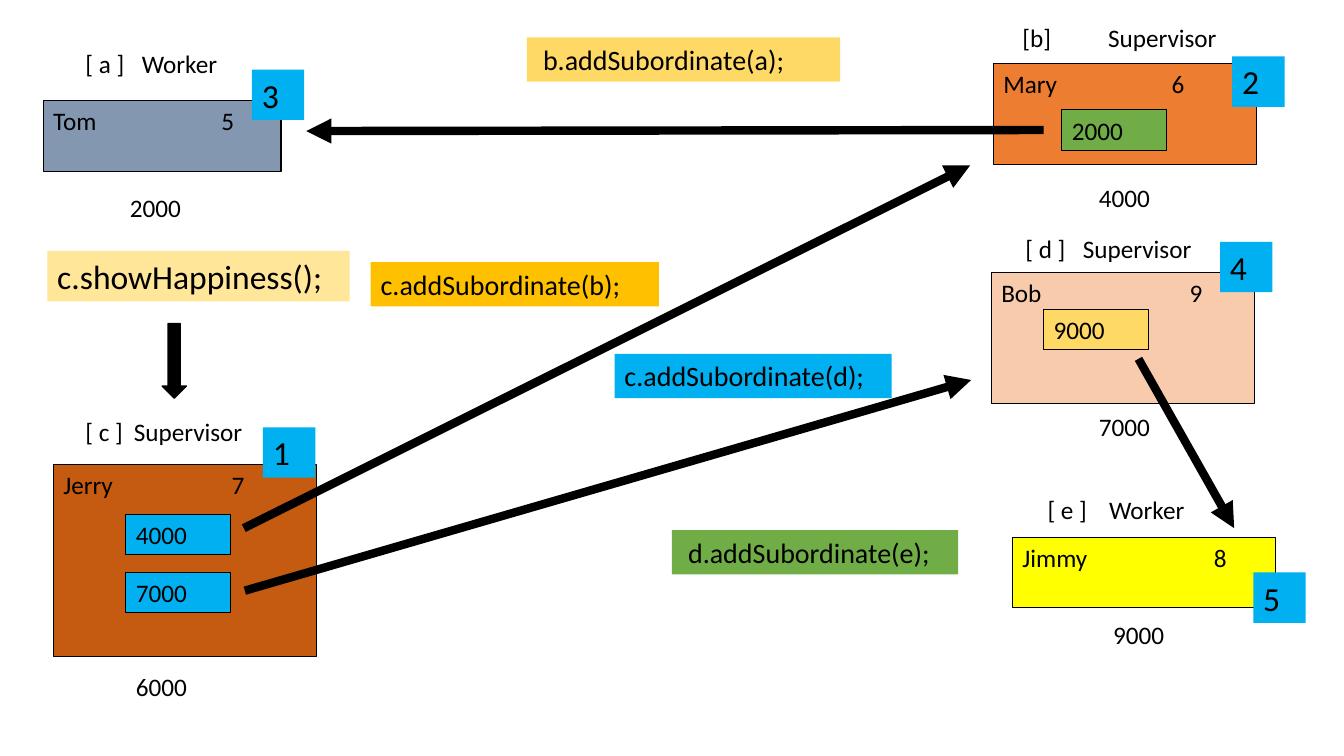
from dataclasses import dataclass

from lxml.etree import SubElement
from pptx import Presentation
from pptx.dml.color import RGBColor
from pptx.enum.shapes import MSO_CONNECTOR, MSO_SHAPE
from pptx.enum.text import MSO_ANCHOR, PP_ALIGN
from pptx.oxml.ns import qn
from pptx.util import Inches, Pt

BLACK = RGBColor(0x00, 0x00, 0x00)
SLATE = RGBColor(0x84, 0x97, 0xB0)
ORANGE = RGBColor(0xED, 0x7D, 0x31)
RUST = RGBColor(0xC5, 0x5A, 0x11)
PEACH = RGBColor(0xF8, 0xCB, 0xAD)
YELLOW = RGBColor(0xFF, 0xFF, 0x00)
GOLD = RGBColor(0xFF, 0xD9, 0x66)
CREAM = RGBColor(0xFF, 0xE6, 0x99)
AMBER = RGBColor(0xFF, 0xC0, 0x00)
BLUE = RGBColor(0x00, 0xB0, 0xF0)
GREEN = RGBColor(0x70, 0xAD, 0x47)


@dataclass
class Employee:
    box: tuple
    fill: RGBColor
    name: str
    level: str
    level_tab: float
    key: str
    role: str
    role_tab: float
    heading_at: tuple
    salary: str
    salary_at: tuple
    badge: str
    badge_at: tuple
    slots: tuple = ()
    slot_fill: RGBColor = BLUE


EMPLOYEES = [
    Employee((0.43, 1, 2.36, 0.7), SLATE, "Tom", "5", 1.67,
             "[ a ]", "Worker", 0.56, (0.32, -0.57),
             "2000", (0.76, 0.86), "3", (2.07, -0.31)),
    Employee((9.86, 0.63, 2.61, 1), ORANGE, "Mary", "6", 1.67,
             "[b]", "Supervisor", 0.85, (0.19, -0.46),
             "4000", (0.95, 1.13), "2", (2.37, -0.07),
             (("2000", 0.68, 0.46),), GREEN),
    Employee((0.53, 4.61, 2.61, 1.9), RUST, "Jerry", "7", 1.67,
             "[ c ]", "Supervisor", 0.48, (0.22, -0.53),
             "6000", (0.72, 2), "1", (2.08, -0.37),
             (("4000", 0.72, 0.49), ("7000", 0.72, 1.07))),
    Employee((9.84, 2.7, 2.61, 1.3), PEACH, "Bob", "9", 1.87,
             "[ d ]", "Supervisor", 0.57, (0.24, -0.43),
             "7000", (0.97, 1.33), "4", (2.27, -0.3),
             (("9000", 0.52, 0.37),), GOLD),
    Employee((10.05, 5.33, 2.61, 0.7), YELLOW, "Jimmy", "8", 1.9,
             "[ e ]", "Worker", 0.61, (0.25, -0.48),
             "9000", (0.9, 0.76), "5", (2.39, 0.35)),
]

CALLS = [
    ("c.showHappiness();", (0.47, 2.49, 3, 0.5), CREAM, 24, 0.1),
    ("b.addSubordinate(a);", (5.23, 0.37, 3.11, 0.44), GOLD, 20, 0.16),
    ("c.addSubordinate(b);", (3.68, 2.6, 2.86, 0.44), AMBER, 20, 0.1),
    ("c.addSubordinate(d);", (6.1, 3.51, 2.75, 0.44), BLUE, 20, 0.1),
    ("d.addSubordinate(e);", (6.67, 5.26, 2.84, 0.44), GREEN, 20, 0.16),
]

SUBORDINATE_ARROWS = [
    ((10.36, 1.29), (3.04, 1.3)),
    ((2.42, 5.24), (9.63, 1.64)),
    ((2.43, 5.86), (9.64, 3.77)),
    ((11.3, 3.56), (12.25, 5.24)),
]


def write_text(shape, text, size=18, tab=None, indent=0.1):
    frame = shape.text_frame
    settings = {
        "word_wrap": True,
        "vertical_anchor": MSO_ANCHOR.TOP,
        "margin_left": Inches(indent),
        "margin_right": Inches(0.1),
        "margin_top": Inches(0.05),
        "margin_bottom": Inches(0.05),
    }
    for name, value in settings.items():
        setattr(frame, name, value)
    para = frame.paragraphs[0]
    para.alignment = PP_ALIGN.LEFT
    if tab:
        stops = SubElement(para._p.get_or_add_pPr(), qn("a:tabLst"))
        SubElement(stops, qn("a:tab"), pos=str(Inches(tab)), algn="l")
    span = para.add_run()
    span.text = text
    for name, value in {"name": "Calibri", "size": Pt(size)}.items():
        setattr(span.font, name, value)
    span.font.color.rgb = BLACK


def add_panel(page, box, fill, outline=0, kind=MSO_SHAPE.RECTANGLE):
    shape = page.shapes.add_shape(kind, *map(Inches, box))
    shape.shadow.inherit = False
    shape.fill.solid()
    shape.fill.fore_color.rgb = fill
    if outline:
        shape.line.color.rgb = BLACK
        shape.line.width = Pt(outline)
    else:
        shape.line.fill.background()
    return shape


def add_caption(page, box, text, tab=None):
    write_text(page.shapes.add_textbox(*map(Inches, box)), text, tab=tab)


def add_employee(page, employee):
    left, top = employee.box[:2]

    def place(offset, width, height):
        return left + offset[0], top + offset[1], width, height

    card = add_panel(page, employee.box, employee.fill, 0.75)
    write_text(card, f"{employee.name}\t{employee.level}", tab=employee.level_tab)
    add_caption(page, place(employee.heading_at, 2.4, 0.4),
                f"{employee.key}\t{employee.role}", employee.role_tab)
    add_caption(page, place(employee.salary_at, 0.85, 0.4), employee.salary)
    for amount, *offset in employee.slots:
        slot = add_panel(page, place(offset, 1.04, 0.4), employee.slot_fill, 0.75)
        write_text(slot, amount)
    badge = add_panel(page, place(employee.badge_at, 0.52, 0.5), BLUE)
    write_text(badge, employee.badge, 24)


def add_subordinate_arrow(page, start, end):
    arrow = page.shapes.add_connector(
        MSO_CONNECTOR.STRAIGHT, *map(Inches, start + end))
    arrow.line.color.rgb = BLACK
    arrow.line.width = Pt(6)
    SubElement(arrow.line._get_or_add_ln(), qn("a:tailEnd"), type="triangle")
    SubElement(arrow._element.spPr, qn("a:effectLst"))


def add_call(page, text, box, fill, size, indent):
    write_text(add_panel(page, box, fill), text, size, indent=indent)


def build_hierarchy(page):
    for employee in EMPLOYEES:
        add_employee(page, employee)
    for start, end in SUBORDINATE_ARROWS:
        add_subordinate_arrow(page, start, end)
    for call in CALLS:
        add_call(page, *call)
    add_panel(page, (1.61, 3.21, 0.24, 0.74), BLACK, 1, MSO_SHAPE.DOWN_ARROW)


def main():
    deck = Presentation()
    deck.slide_width = Inches(13.34)
    deck.slide_height = Inches(7.5)
    build_hierarchy(deck.slides.add_slide(deck.slide_layouts[6]))
    deck.save("out.pptx")


if __name__ == "__main__":
    main()
